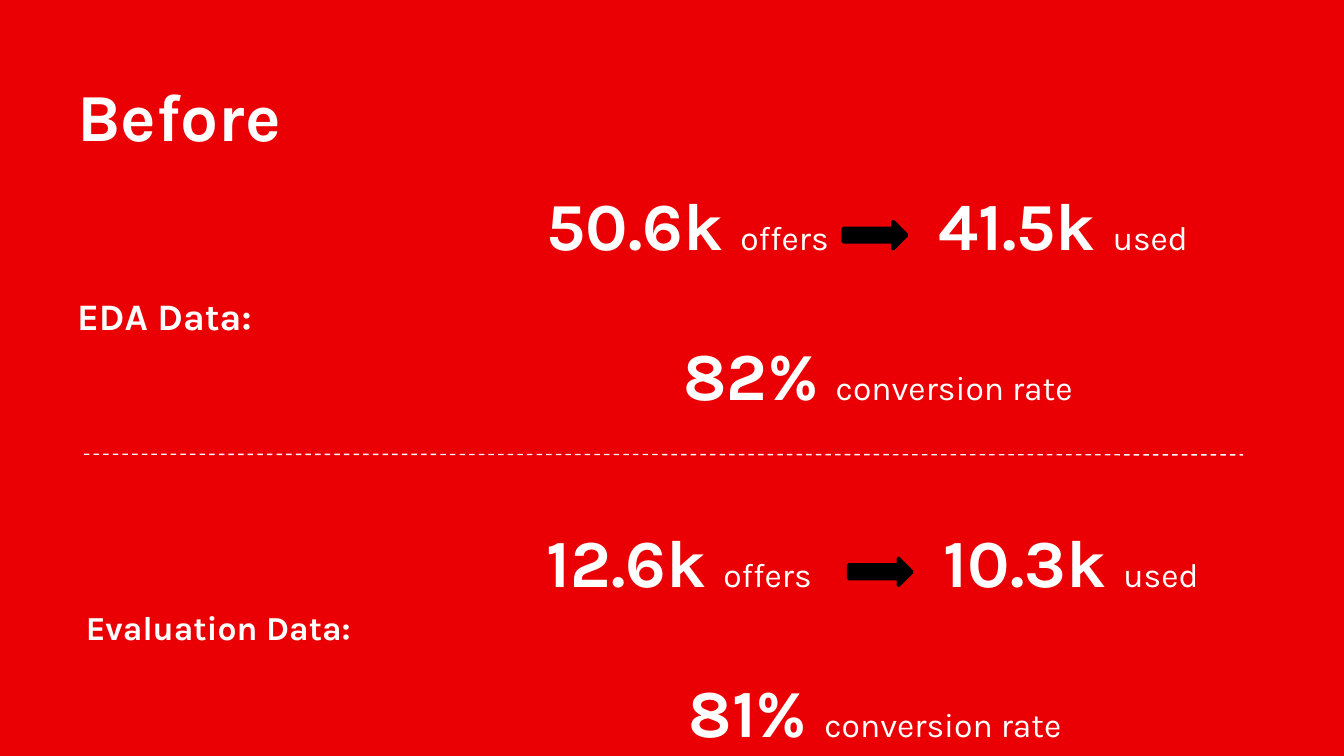
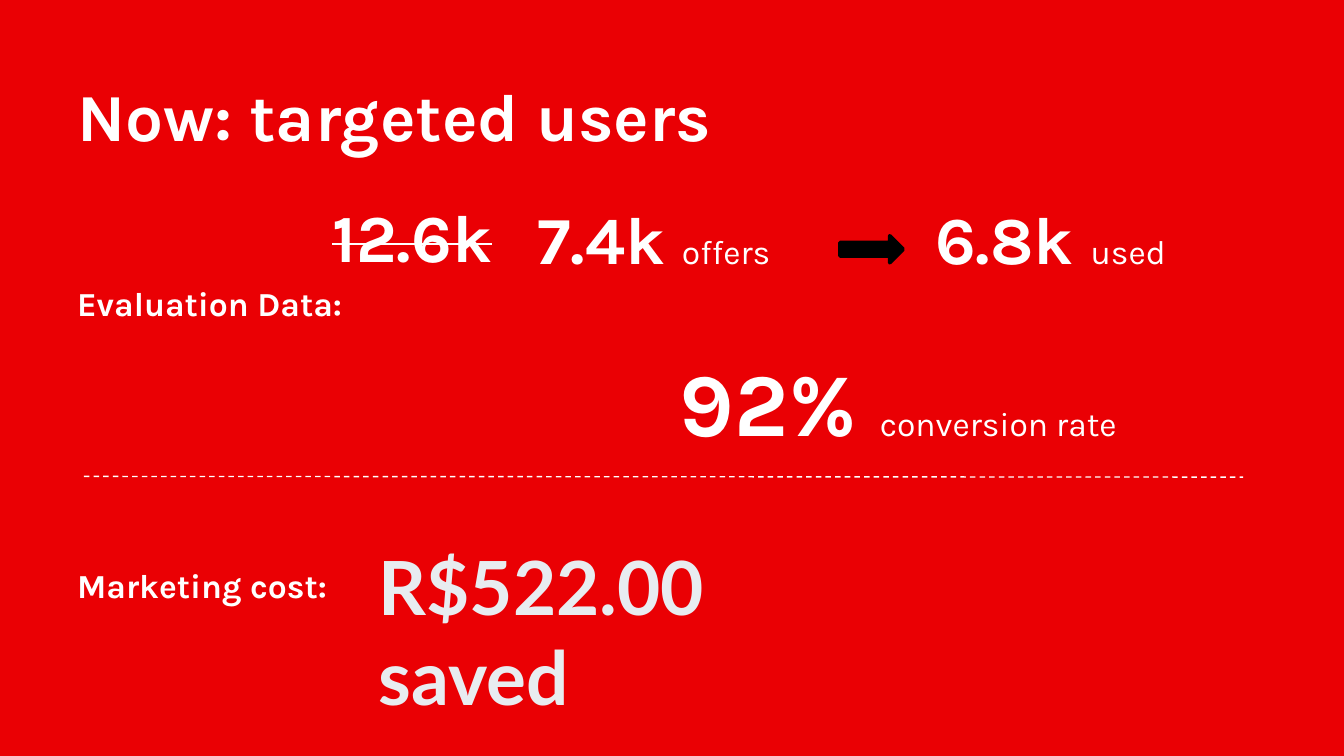
import pptx
import pptx.dml.color
import pptx.enum.dml
import pptx.enum.shapes
import pptx.enum.text
import pptx.oxml.ns
import pptx.util
from lxml import etree

# Shared look
PX = 4572  # EMU per px, 200 px to the inch
RED = pptx.dml.color.RGBColor(0xEA, 0x00, 0x04)
WHITE = pptx.dml.color.RGBColor(0xFF, 0xFF, 0xFF)
BLACK = pptx.dml.color.RGBColor(0x00, 0x00, 0x00)
PALE = pptx.dml.color.RGBColor(0xE8, 0xEC, 0xF0)
FONT = "Karla"
SAVING_FONT = "Lato"
MARGIN = 95
LINE_HEIGHT = 130
BIG, SMALL = 36, 18


def px(*lengths):
    return [pptx.util.Emu(length * PX) for length in lengths]


def add_text(slide, box, text, size, color=WHITE, font=FONT, caption=None, inset=20):
    """Bold text, optionally followed by a small regular caption."""
    shape = slide.shapes.add_textbox(*px(*box))
    frame = shape.text_frame
    frame.word_wrap = True
    frame.vertical_anchor = pptx.enum.text.MSO_ANCHOR.TOP
    frame.margin_left, frame.margin_right = px(20, 20)
    frame.margin_top, frame.margin_bottom = px(inset, inset)
    paragraph = frame.paragraphs[0]
    paragraph.font.name = font
    paragraph.font.color.rgb = color
    parts = [(text, size, True)]
    if caption:
        parts = [(text + " ", size, True), (caption, SMALL, False)]
    for words, points, bold in parts:
        run = paragraph.add_run()
        run.text = words
        run.font.name = font
        run.font.color.rgb = color
        run.font.size = pptx.util.Pt(points)
        run.font.bold = bold
    return shape


def add_title(slide, text, width):
    add_text(slide, (MARGIN, 90, width, LINE_HEIGHT), text, BIG)


def add_label(slide, top, text, left=MARGIN, size=SMALL):
    add_text(slide, (left, top, 568, LINE_HEIGHT), text, size)


def add_arrow(slide, left, top):
    arrow = slide.shapes.add_shape(
        pptx.enum.shapes.MSO_SHAPE.RIGHT_ARROW, *px(left, top, 94, 40))
    arrow.shadow.inherit = False
    arrow.fill.solid()
    arrow.fill.fore_color.rgb = BLACK
    arrow.line.color.rgb = BLACK
    arrow.line.width = pptx.util.Pt(2)
    # Rounded outline corners
    etree.SubElement(arrow.line._get_or_add_ln(), pptx.oxml.ns.qn("a:round"))


def add_divider(slide, top):
    divider = slide.shapes.add_connector(
        pptx.enum.shapes.MSO_CONNECTOR.STRAIGHT, *px(125, top, 1850, top + 1))
    divider.line.color.rgb = WHITE
    divider.line.width = pptx.util.Pt(0.75)
    divider.line.dash_style = pptx.enum.dml.MSO_LINE.DASH
    etree.SubElement(divider._element.spPr, pptx.oxml.ns.qn("a:effectLst"))


def add_conversion(slide, left, top, arrow_left, offers, used, rate,
                   rate_size=BIG, rate_width=636):
    """Offers, arrow and used in one row, with the conversion rate below."""
    add_text(slide, (left, top, 494, LINE_HEIGHT), offers, BIG, caption="offers")
    add_arrow(slide, arrow_left, top + 77)
    add_text(slide, (arrow_left + 122, top, 466, 156), used, BIG, caption="used")
    add_text(slide, (arrow_left - 258, top + 223, rate_width, 156), rate, rate_size,
             caption="conversion rate")


def add_old_offers(slide, left, top, text):
    shape = add_text(slide, (left, top, 306, LINE_HEIGHT), text, BIG)
    run = shape.text_frame.paragraphs[0].runs[0]
    run._r.get_or_add_rPr().set("strike", "sngStrike")


def add_saving(slide, left, top, text):
    shape = add_text(slide, (left, top, 800, 154), text, 40, PALE, SAVING_FONT, inset=10)
    shape.text_frame.auto_size = pptx.enum.text.MSO_AUTO_SIZE.SHAPE_TO_FIT_TEXT


def new_slide(presentation):
    slide = presentation.slides.add_slide(presentation.slide_layouts[6])
    slide.background.fill.solid()
    slide.background.fill.fore_color.rgb = RED
    return slide


def build_before(presentation):
    slide = new_slide(presentation)
    add_title(slide, "Before", 454)
    # Exploration data
    add_label(slide, 416, "EDA Data:", size=20)
    add_conversion(slide, 794, 253, 1255, "50.6k", "41.5k", "82%")
    add_divider(slide, 676)
    # Evaluation data
    add_label(slide, 883, "Evaluation Data:", left=108)
    add_conversion(slide, 794, 754, 1263, "12.6k", "10.3k", "81%")


def build_now(presentation):
    slide = new_slide(presentation)
    add_title(slide, "Now: targeted users", 1098)
    # Evaluation data
    add_label(slide, 401, "Evaluation Data:")
    add_old_offers(slide, 475, 271, "12.6k")
    add_conversion(slide, 780, 274, 1250, "7.4k", "6.8k", "92%",
                   rate_size=48, rate_width=752)
    add_divider(slide, 709)
    # Marketing cost
    add_label(slide, 821, "Marketing cost:")
    add_saving(slide, 544, 795, "R$522.00 saved")


def main():
    presentation = pptx.Presentation()
    presentation.slide_width, presentation.slide_height = px(2000, 1125)
    build_before(presentation)
    build_now(presentation)
    presentation.save("out.pptx")


if __name__ == "__main__":
    main()
